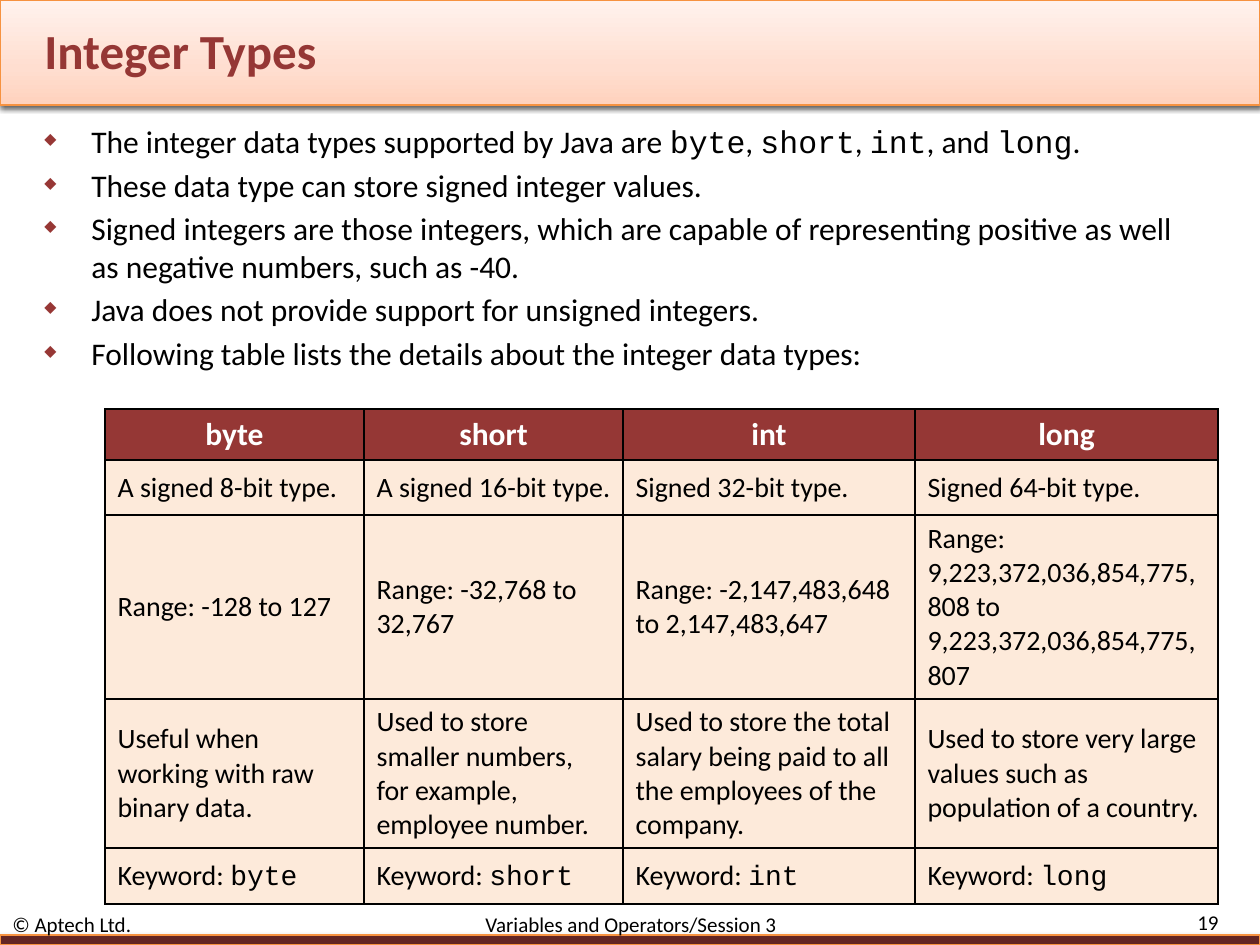
from copy import deepcopy

from lxml.etree import SubElement
from pptx import Presentation
from pptx.dml.color import RGBColor
from pptx.enum.shapes import MSO_SHAPE
from pptx.enum.text import MSO_ANCHOR, PP_ALIGN
from pptx.oxml.ns import qn
from pptx.util import Emu, Pt

EMU_PER_PX = 914400 / 126
SANS, MONO = "Calibri", "Courier New"
BLACK, WHITE = "000000", "FFFFFF"
MAROON, DARK_MAROON, ORANGE, PEACH = "953735", "632523", "F69240", "FDEADA"

# Backticks enclose words set in the monospaced font.
BULLETS = [
    "The integer data types supported by Java are `byte`, `short`, `int`, and `long`.",
    "These data type can store signed integer values.",
    "Signed integers are those integers, which are capable of representing "
    "positive as well as negative numbers, such as -40.",
    "Java does not provide support for unsigned integers.",
    "Following table lists the details about the integer data types:",
]
TYPE_NAMES = ["byte", "short", "int", "long"]
TYPE_ROWS = [
    TYPE_NAMES,
    ["A signed 8-bit type.", "A signed 16-bit type.",
     "Signed 32-bit type.", "Signed 64-bit type."],
    ["Range: -128 to 127", "Range: -32,768 to 32,767",
     "Range: -2,147,483,648 to 2,147,483,647",
     "Range: 9,223,372,036,854,775,808 to 9,223,372,036,854,775,807"],
    ["Useful when working with raw binary data.",
     "Used to store smaller numbers, for example, employee number.",
     "Used to store the total salary being paid to all the employees of the company.",
     "Used to store very large values such as population of a country."],
    [f"Keyword: `{name}`" for name in TYPE_NAMES],
]
COLUMN_WIDTHS = [259, 259, 292, 303]
ROW_HEIGHTS = [51, 55, 184, 149, 56]


def px(length):
    return Emu(round(length * EMU_PER_PX))


def rgb(color):
    return RGBColor.from_string(color)


def add_xml(parent, tag, **attributes):
    return SubElement(parent, qn(tag), {k: str(v) for k, v in attributes.items()})


def add_solid(parent, color):
    return add_xml(add_xml(parent, "a:solidFill"), "a:srgbClr", val=color)


def write_runs(paragraph, text, size, color=BLACK, bold=False):
    for index, part in enumerate(text.split("`")):
        if not part:
            continue
        run = paragraph.add_run()
        run.text = part
        run.font.name = MONO if index % 2 else SANS
        run.font.size = Pt(size)
        run.font.bold = bold
        run.font.color.rgb = rgb(color)


def add_text_frame(slide, box, anchor=MSO_ANCHOR.MIDDLE):
    frame = slide.shapes.add_textbox(*map(px, box)).text_frame
    frame.word_wrap = True
    frame.vertical_anchor = anchor
    return frame


def add_band(slide, box, shadow_alpha):
    band = slide.shapes.add_shape(MSO_SHAPE.RECTANGLE, *map(px, box))
    band.line.color.rgb = rgb(ORANGE)
    band.line.width = Pt(0.75)
    band.shadow.inherit = False
    effects = band.fill._xPr.find(qn("a:effectLst"))
    shadow = add_xml(effects, "a:outerShdw", blurRad=Pt(3.1), dist=Pt(1.7),
                     dir=5400000, rotWithShape=0)
    shadow_color = add_xml(shadow, "a:srgbClr", val=BLACK)
    add_xml(shadow_color, "a:alpha", val=shadow_alpha * 1000)
    return band


def add_header(slide, box):
    left, top, width, height = box
    banner = add_band(slide, box, 60)
    banner.fill.gradient()
    banner.fill.gradient_angle = 90
    stops = banner.fill._xPr.find(qn("a:gradFill")).find(qn("a:gsLst"))
    stops.append(deepcopy(stops[-1]))
    colors = [(0, "FFD2BD"), (0.35, "FFDED0"), (1, "FFF2ED")]
    for stop, (position, color) in zip(banner.fill.gradient_stops, colors):
        stop.position = position
        stop.color.rgb = rgb(color)

    # Title with a thin dark outline
    title = add_text_frame(slide, (left + 32, top + 21, 1050, 57)).paragraphs[0]
    write_runs(title, "Integer Types", 28, MAROON, True)
    run_properties = title.runs[0].font._element
    outline = add_xml(run_properties, "a:ln", w=Pt(0.75))
    add_solid(outline, DARK_MAROON)
    run_properties.insert(0, outline)


def add_bullets(slide, box):
    frame = add_text_frame(slide, box, MSO_ANCHOR.TOP)
    for index, text in enumerate(BULLETS):
        paragraph = frame.add_paragraph() if index else frame.paragraphs[0]
        properties = paragraph._p.get_or_add_pPr()
        properties.set("marL", str(px(47)))
        properties.set("indent", str(-px(47)))
        add_xml(add_xml(properties, "a:buClr"), "a:srgbClr", val="973735")
        add_xml(properties, "a:buSzPct", val=50000)
        add_xml(properties, "a:buChar", char="◆")
        if index:
            paragraph.space_before = Pt(3.2)
        write_runs(paragraph, text, 18)


def add_type_table(slide, left, top):
    table = slide.shapes.add_table(
        len(TYPE_ROWS), len(COLUMN_WIDTHS), px(left), px(top),
        px(sum(COLUMN_WIDTHS)), px(sum(ROW_HEIGHTS))).table
    table.first_row = table.horz_banding = False
    for column, width in zip(table.columns, COLUMN_WIDTHS):
        column.width = px(width)
    for row_index, (row, height, texts) in enumerate(
            zip(table.rows, ROW_HEIGHTS, TYPE_ROWS)):
        row.height = px(height)
        heading = row_index == 0
        for cell, text in zip(row.cells, texts):
            cell.vertical_anchor = MSO_ANCHOR.TOP if heading else MSO_ANCHOR.MIDDLE
            for side in ("a:lnL", "a:lnR", "a:lnT", "a:lnB"):
                border = add_xml(cell._tc.get_or_add_tcPr(), side, w=Pt(1))
                add_solid(border, BLACK)
            cell.fill.solid()
            cell.fill.fore_color.rgb = rgb(MAROON if heading else PEACH)
            paragraph = cell.text_frame.paragraphs[0]
            if heading:
                paragraph.alignment = PP_ALIGN.CENTER
                write_runs(paragraph, text, 18, WHITE, True)
            else:
                write_runs(paragraph, text, 16)


def add_footer(slide, box):
    left, top, width, height = box
    bar = add_band(slide, (left, top + 24, width, 10), 35)
    bar.fill.solid()
    bar.fill.fore_color.rgb = rgb(DARK_MAROON)

    # Copyright, and session name at a tab stop
    session = add_text_frame(slide, (left, top + 3, 1113, 21)).paragraphs[0]
    tabs = add_xml(session._p.get_or_add_pPr(), "a:tabLst")
    add_xml(tabs, "a:tab", pos=px(473), algn="l")
    write_runs(session, "© Aptech Ltd.\tVariables and Operators/Session 3", 12)

    # Page number
    number = add_text_frame(slide, (left + 1124, top, 107, 23)).paragraphs[0]
    number.alignment = PP_ALIGN.RIGHT
    write_runs(number, "19", 12)


def main():
    presentation = Presentation()
    presentation.slide_width, presentation.slide_height = px(1260), px(945)
    slide = presentation.slides.add_slide(presentation.slide_layouts[6])
    add_header(slide, (0, 0, 1260, 105))
    add_footer(slide, (0, 911, 1260, 34))
    add_bullets(slide, (32, 116, 1187, 273))
    add_type_table(slide, 105, 409)
    presentation.save("out.pptx")


if __name__ == "__main__":
    main()
